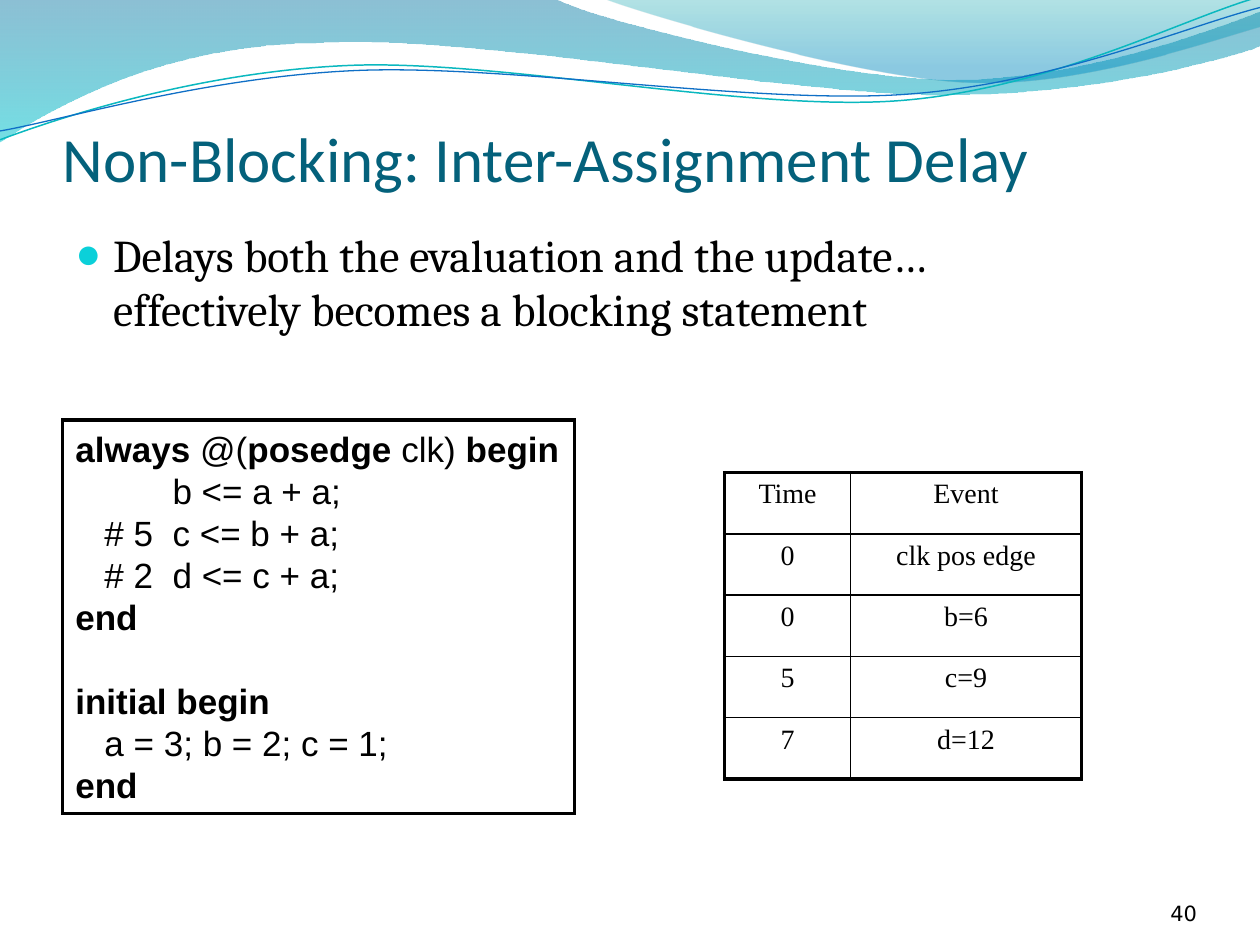
import math

from lxml import etree
from pptx import Presentation
from pptx import util as u
from pptx.dml.color import RGBColor
from pptx.enum import shapes, text
from pptx.oxml.ns import qn

WIDTH, HEIGHT = 10, 7.5
GRID = 12  # grid cells to the inch
COLORS = {
    "ink": "000000", "title": "04617B", "bullet": "0BD0D9",
    "deep": "0074A1", "aqua": "00C6CF", "teal": "00A1A9", "sky": "008BBF",
    "teal_line": "0AB8BF", "blue_line": "0F6FC6",
}
LEFT, TOP = text.PP_ALIGN.LEFT, text.MSO_ANCHOR.TOP

# Waves: a start point, then points (2 numbers) or Bezier curves (6 numbers)
LEFT_WAVE = [
    (0, -0.01), (4.4, -0.01), (4.76, 0.17, 6.64, 0.63, 7.58, 0.63),
    (8.53, 0.63, 9.58, 0.26, 10, 0.09), (10.01, 0.36),
    (9.83, 0.44, 8.7, 0.76, 7.46, 0.75), (6.22, 0.75, 3.82, 0.28, 2.57, 0.34),
    (1.29, 0.35, 0.46, 0.83, -0.01, 1.13),
]
RIGHT_WAVE = [
    (4.79, -0.01), (5.09, 0.11, 6.82, 0.62, 7.69, 0.65),
    (8.56, 0.69, 9.61, 0.32, 10, 0.21), (10, 0),
]
TEAL_STRAND = [
    (0, 1.11), (0.48, 0.93, 1.58, 0.57, 2.77, 0.52),
    (3.95, 0.47, 5.93, 0.89, 7.13, 0.8), (8.33, 0.71, 9.38, 0.15, 9.98, -0.02),
]
BLUE_STRAND = [
    (0, 1.04), (0.47, 0.96, 1.64, 0.61, 2.83, 0.56),
    (4.03, 0.51, 5.97, 0.83, 7.17, 0.75), (8.36, 0.67, 9.41, 0.21, 10, 0.06),
]
TILT = 357.3

# Code paragraphs: (text, bold) runs
CODE = [
    [("always", True), (" @(", False), ("posedge", True), (" clk) ", False),
     ("begin\n", True),
     ("          b <= a + a;\n   # 5  c <= b + a;\n   # 2  d <= c + a;\n", False),
     ("end", True)],
    [("\ninitial begin", True)],
    [("   a = 3; b = 2; c = 1;", False)],
    [("end", True)],
]
EVENTS = [("Time", "Event"), ("0", "clk pos edge"), ("0", "b=6"),
          ("5", "c=9"), ("7", "d=12")]


def rgb(name):
    return RGBColor.from_string(COLORS[name])


def cells(*counts):
    """Turn numbers of grid columns and rows into lengths."""
    return [u.Inches(count / GRID) for count in counts]


def turn(segments, degrees, center):
    """Turn every point of an outline clockwise about a center."""
    cos, sin = math.cos(math.radians(degrees)), math.sin(math.radians(degrees))
    turned = []
    for segment in segments:
        numbers = []
        for x, y in zip(segment[::2], segment[1::2]):
            x, y = x - center[0], y - center[1]
            numbers += [center[0] + x * cos - y * sin,
                        center[1] + x * sin + y * cos]
        turned.append(numbers)
    return turned


def add_curve(slide, segments, closed):
    """Draw an outline, then bend the segments that have control points."""
    start, *ends = [[u.Inches(n) for n in segment[-2:]] for segment in segments]
    builder = slide.shapes.build_freeform(*start, scale=1.0)
    builder.add_line_segments(ends, close=closed)
    curve = builder.convert_to_shape()
    curve.shadow.inherit = False
    lines = list(curve.element.iter(qn("a:lnTo")))
    for line, segment in zip(lines, segments[1:]):
        if len(segment) == 6:
            line.tag = qn("a:cubicBezTo")
            for i, (x, y) in enumerate(zip(segment[:4:2], segment[1:4:2])):
                point = etree.Element(qn("a:pt"), x=str(u.Inches(x) - curve.left),
                                      y=str(u.Inches(y) - curve.top))
                line.insert(i, point)
    return curve


def add_wave(slide, segments, stops):
    """Filled wave; stops are (position, colour, opacity in percent)."""
    wave = add_curve(slide, segments, True)
    wave.line.fill.background()
    wave.fill.gradient()
    wave.fill.gradient_angle = 270
    for stop, (position, color, _) in zip(wave.fill.gradient_stops, stops):
        stop.position = position
        stop.color.rgb = rgb(color)
    tints = list(wave.element.spPr.iter(qn("a:srgbClr")))
    for tint, (_, _, opacity) in zip(tints, stops):
        etree.SubElement(tint, qn("a:alpha"), val=str(opacity * 1000))


def add_strand(slide, segments, color, width):
    level = turn(segments, -TILT, (WIDTH / 2, 0.58))
    strand = add_curve(slide, level, False)
    strand.rotation = TILT
    strand.fill.background()
    strand.line.color.rgb = rgb(color)
    strand.line.width = u.Pt(width)


def write(frame, paragraphs, size, font, color="ink", align=LEFT, anchor=TOP,
          insets=(0.1, 0.05, 0.1, 0.05), wrap=True, spacing=None):
    """Fill a text frame; a paragraph is a string or (text, bold) runs."""
    frame.word_wrap = wrap
    frame.vertical_anchor = anchor
    (frame.margin_left, frame.margin_top,
     frame.margin_right, frame.margin_bottom) = map(u.Inches, insets)
    for number, content in enumerate(paragraphs):
        paragraph = frame.add_paragraph() if number else frame.paragraphs[0]
        paragraph.alignment = align
        if spacing:
            paragraph.line_spacing = u.Pt(spacing)
        runs = [(content, False)] if isinstance(content, str) else content
        for words, bold in runs:
            for i, line in enumerate(words.split("\n")):
                if i:
                    paragraph.add_line_break()
                if line:
                    run = paragraph.add_run()
                    run.text = line
                    run.font.size, run.font.name = u.Pt(size), font
                    run.font.bold = bold
                    run.font.color.rgb = rgb(color)
    return frame


def add_text(slide, place, paragraphs, **style):
    return write(slide.shapes.add_textbox(*place).text_frame, paragraphs, **style)


def add_bullet(paragraph, color, indent):
    props = paragraph._p.get_or_add_pPr()
    props.set("marL", str(u.Inches(indent)))
    props.set("indent", str(-u.Inches(indent)))
    tint = etree.SubElement(props, qn("a:buClr"))
    etree.SubElement(tint, qn("a:srgbClr"), val=COLORS[color])
    etree.SubElement(props, qn("a:buSzPct"), val="95000")
    etree.SubElement(props, qn("a:buFont"), typeface="Arial")
    etree.SubElement(props, qn("a:buChar"), char="●")


def add_code(slide, place):
    code = slide.shapes.add_shape(shapes.MSO_SHAPE.RECTANGLE, *place)
    code.shadow.inherit = False
    code.fill.background()
    code.line.color.rgb = rgb("ink")
    code.line.width = u.Pt(1.75)
    etree.SubElement(code.element.spPr.find(qn("a:ln")), qn("a:miter"), lim="800000")
    write(code.text_frame, CODE, size=20, font="Arial", wrap=False, spacing=24,
          insets=(0.1, 0.06, 0.1, 0.05))


def set_border(cell, side, width):
    line = etree.SubElement(cell._tc.get_or_add_tcPr(), qn("a:ln" + side),
                            w=str(u.Pt(width)))
    fill = etree.SubElement(line, qn("a:solidFill"))
    etree.SubElement(fill, qn("a:srgbClr"), val=COLORS["ink"])


def add_events(slide, place, column_widths):
    last_row, last_column = len(EVENTS) - 1, len(column_widths) - 1
    table = slide.shapes.add_table(last_row + 1, last_column + 1, *place).table
    for column, width in zip(table.columns, cells(*column_widths)):
        column.width = width
    for r, event in enumerate(EVENTS):
        for c, words in enumerate(event):
            cell = table.cell(r, c)
            write(cell.text_frame, [words], size=16, font="Times New Roman",
                  align=text.PP_ALIGN.CENTER)
            # Thick frame outside, thin rules inside
            outer = {"L": c == 0, "R": c == last_column,
                     "T": r == 0, "B": r == last_row}
            for side, thick in outer.items():
                set_border(cell, side, 2.25 if thick else 1)
            cell.fill.background()


def main():
    deck = Presentation()
    deck.slide_width, deck.slide_height = u.Inches(WIDTH), u.Inches(HEIGHT)
    slide = deck.slides.add_slide(deck.slide_layouts[6])

    # Wave header
    add_wave(slide, LEFT_WAVE, [(0, "deep", 45), (1, "aqua", 55)])
    add_wave(slide, RIGHT_WAVE, [(0, "teal", 30), (0.8, "sky", 45)])
    add_strand(slide, TEAL_STRAND, "teal_line", 0.85)
    add_strand(slide, BLUE_STRAND, "blue_line", 0.75)

    # Title and statement
    bottom = text.MSO_ANCHOR.BOTTOM
    add_text(slide, cells(6, 3.6, 108, 15),
             ["Non-Blocking: Inter-Assignment Delay"], size=36, font="Calibri",
             color="title", anchor=bottom, insets=(0, 0.05, 0, 0))
    statement = add_text(
        slide, cells(6, 21, 94, 7),
        ["Delays both the evaluation and the update…"
         "effectively becomes a blocking statement"], size=26, font="Cambria")
    add_bullet(statement.paragraphs[0], "bullet", 0.3)

    # Event table, page number and code
    add_events(slide, cells(69, 45, 34, 29.2), (12, 22))
    add_text(slide, cells(104, 83.4, 10, 4.8), ["40"], size=12,
             font="DejaVu Sans", align=text.PP_ALIGN.RIGHT, anchor=bottom,
             insets=(0, 0, 0, 0))
    add_code(slide, cells(6, 40, 48.7, 37.5))
    deck.save("out.pptx")


if __name__ == "__main__":
    main()
